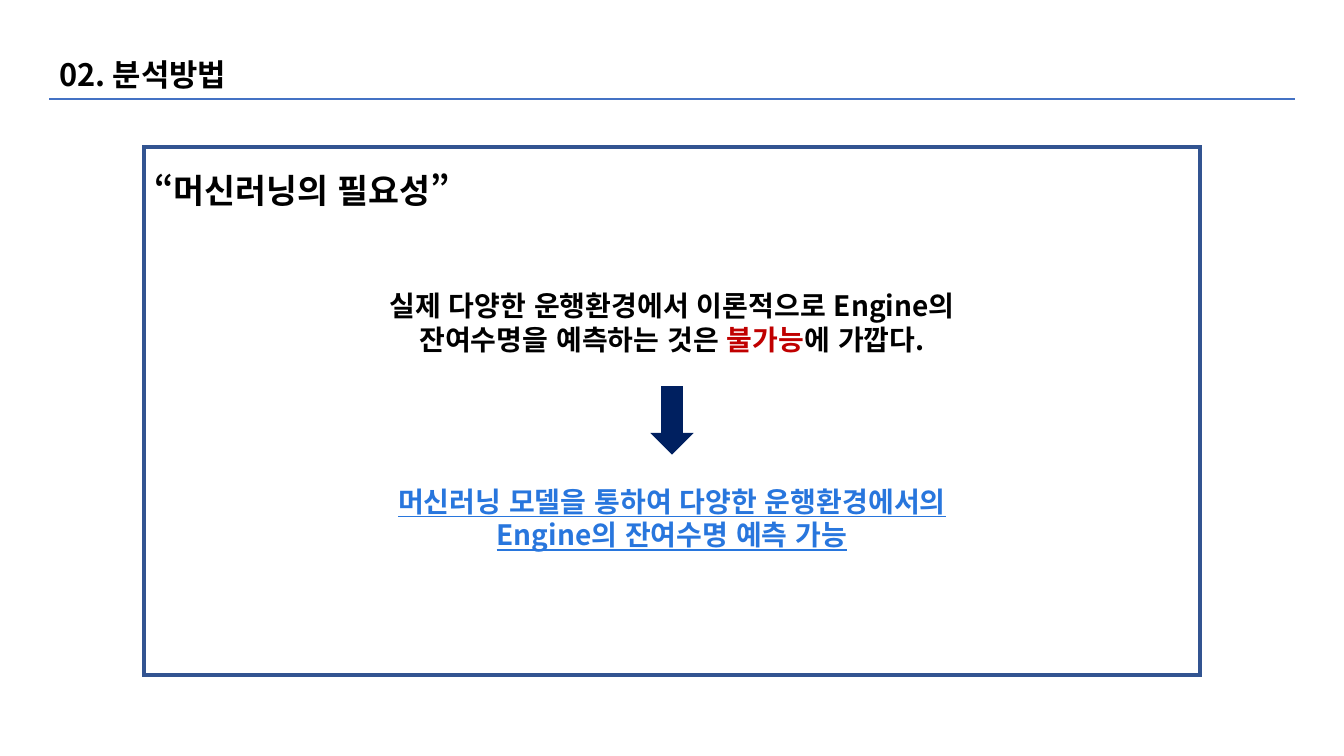
from lxml import etree
from pptx import Presentation
from pptx.dml.color import RGBColor
from pptx.enum.lang import MSO_LANGUAGE_ID
from pptx.enum.shapes import MSO_CONNECTOR, MSO_SHAPE
from pptx.enum.text import MSO_ANCHOR, PP_ALIGN
from pptx.oxml.ns import qn
from pptx.util import Inches, Pt

RECT, DOWN = MSO_SHAPE.RECTANGLE, MSO_SHAPE.DOWN_ARROW
STRAIGHT = MSO_CONNECTOR.STRAIGHT
LEFT, CENTER = PP_ALIGN.LEFT, PP_ALIGN.CENTER
TOP = MSO_ANCHOR.TOP
KOREAN = MSO_LANGUAGE_ID.KOREAN

FONT = "Noto Sans CJK KR"
LINE_RATIO = 1.21
BLACK, RED, BLUE = "000000", "C00000", "2876DD"
RULE, FRAME, NAVY = "4472C4", "325491", "002060"

TITLE = [[("02. 분석방법", BLACK)]]
HEADING = [[("“머신러닝의 필요성”", BLACK)]]
PROBLEM = [
    [("실제 다양한 운행환경에서 이론적으로 Engine의", BLACK)],
    [("잔여수명을 예측하는 것은 ", BLACK), ("불가능", RED), ("에 가깝다.", BLACK)],
]
SOLUTION = [
    [("머신러닝 모델을 통하여 다양한 운행환경에서의", BLUE)],
    [("Engine의 잔여수명 예측 가능", BLUE)],
]

SLIDE_W, SLIDE_H = 13.33, 7.5
MARGIN, RULE_Y = 0.49, 0.98
FRAME_W, BODY_W, ARROW_W = 10.47, 8.18, 0.43


def color(value):
    return RGBColor.from_string(value)


def centered(width):
    return (SLIDE_W - width) / 2


def place(sp, x, y, w, h):
    sp.left, sp.top, sp.width, sp.height = map(Inches, (x, y, w, h))


def write(sp, lines, size, align=LEFT, underline=False):
    tf = sp.text_frame
    tf.word_wrap = True
    tf.vertical_anchor = TOP
    for i, line in enumerate(lines):
        p = tf.paragraphs[0] if i == 0 else tf.add_paragraph()
        p.alignment = align
        p.line_spacing = Pt(round(size * LINE_RATIO, 1))
        p.space_before = Pt(0)
        for text, tint in line:
            r = p.add_run()
            r.text = text
            r.font.name = FONT
            r.font.size = Pt(size)
            r.font.bold = True
            r.font.language_id = KOREAN
            r.font.color.rgb = color(tint)
            if underline:
                r.font.underline = True
            ea = etree.SubElement(r.font._element, qn("a:ea"))
            ea.set("typeface", FONT)


def add_text(s, x, y, w, h, lines, size, **options):
    sp = s.shapes.add_textbox(*map(Inches, (x, y, w, h)))
    write(sp, lines, size, **options)


def add_shape(s, kind, x, y, w, h):
    sp = s.shapes.add_shape(kind, *map(Inches, (x, y, w, h)))
    sp.shadow.inherit = False
    return sp


def main():
    prs = Presentation()
    prs.slide_width, prs.slide_height = Inches(SLIDE_W), Inches(SLIDE_H)
    s = prs.slides.add_slide(prs.slide_layouts[5])

    rule = s.shapes.add_connector(
        STRAIGHT, *map(Inches, (MARGIN, RULE_Y, SLIDE_W - MARGIN, RULE_Y)))
    rule.line.color.rgb = color(RULE)
    rule.line.width = Pt(1.5)
    etree.SubElement(rule._element.spPr, qn("a:effectLst"))

    title = s.shapes.title
    place(title, MARGIN, 0.5, 4.4, 0.47)
    write(title, TITLE, 22)

    frame_x = centered(FRAME_W)
    frame = add_shape(s, RECT, frame_x, 1.46, FRAME_W, 5.24)
    frame.fill.background()
    frame.line.color.rgb = color(FRAME)
    frame.line.width = Pt(3)
    miter = etree.SubElement(frame._element.spPr.find(qn("a:ln")), qn("a:miter"))
    miter.set("lim", "800000")

    add_text(s, frame_x, 1.63, 4.5, 0.5, HEADING, 24)
    body_x = centered(BODY_W)
    add_text(s, body_x, 2.81, BODY_W, 0.77, PROBLEM, 20, align=CENTER)
    add_text(s, body_x, 4.75, BODY_W, 0.77, SOLUTION, 20, align=CENTER, underline=True)

    arrow = add_shape(s, DOWN, centered(ARROW_W), 3.83, ARROW_W, 0.68)
    arrow.fill.solid()
    arrow.fill.fore_color.rgb = color(NAVY)
    arrow.line.fill.background()

    prs.save("out.pptx")


if __name__ == "__main__":
    main()
